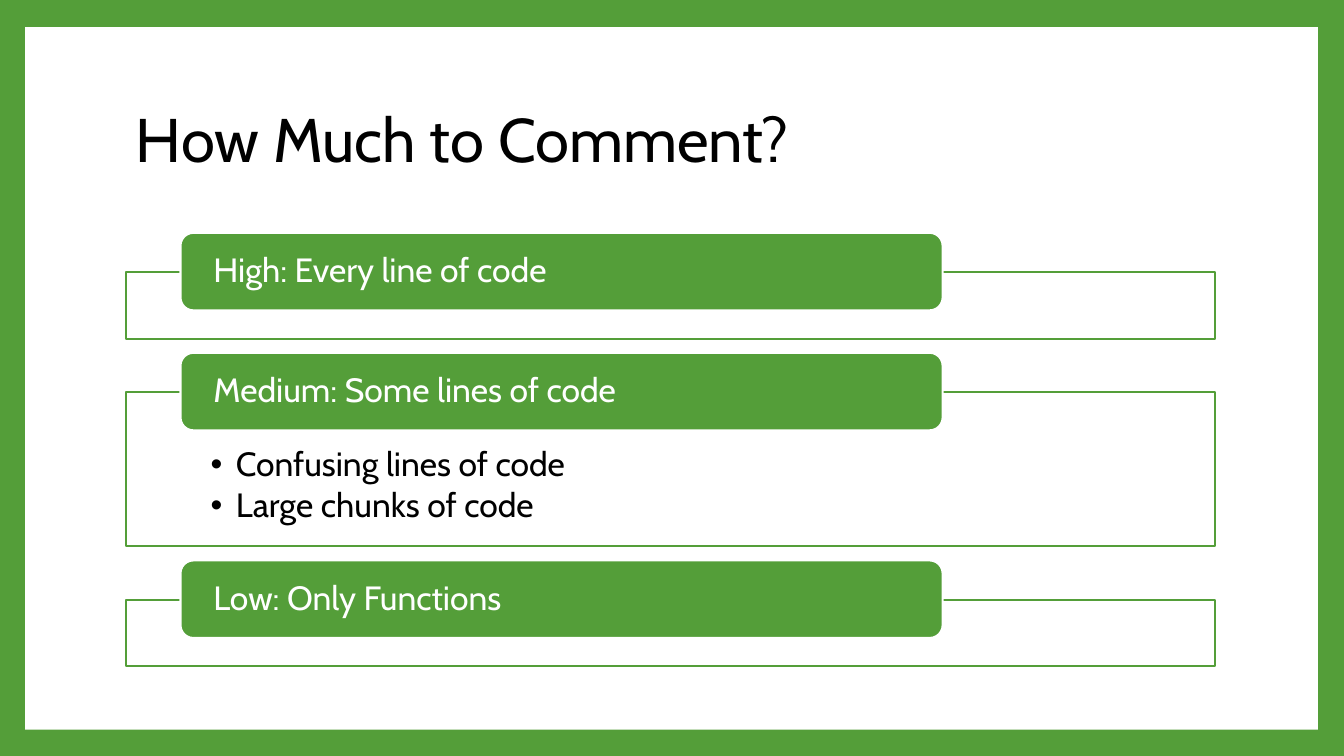
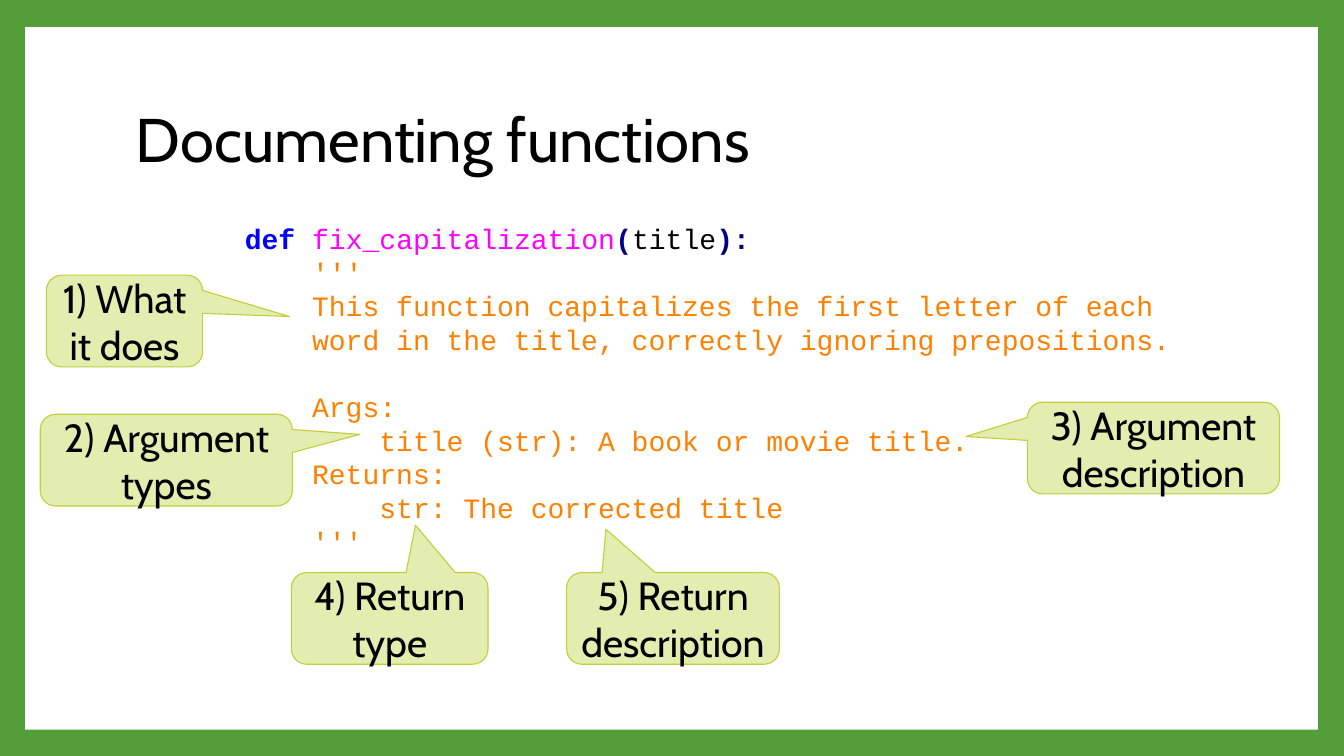
from dataclasses import dataclass

from lxml.etree import SubElement
from pptx import Presentation
from pptx.dml.color import RGBColor
from pptx.enum.shapes import MSO_SHAPE
from pptx.enum.text import MSO_ANCHOR, PP_ALIGN
from pptx.oxml.ns import qn
from pptx.util import Inches, Pt


@dataclass(frozen=True)
class Theme:
    green: str = "549E39"
    white: str = "FFFFFF"
    black: str = "000000"
    callout_fill: str = "E4EDB0"
    callout_line: str = "C0CF3A"
    keyword: str = "0000FF"
    function: str = "FF00FF"
    operator: str = "000080"
    docstring: str = "FF8000"
    body_font: str = "Cabin"
    code_font: str = "Courier New"
    title_size: int = 44
    callout_size: int = 28
    body_size: int = 24
    code_size: int = 20


THEME = Theme()


def add_bullet(paragraph, indent):
    properties = paragraph._p.get_or_add_pPr()
    properties.set("marL", str(indent))
    properties.set("indent", str(-indent))
    SubElement(properties, qn("a:buFont")).set("typeface", "Arial")
    SubElement(properties, qn("a:buChar")).set("char", "•")


def write_text(frame, paragraphs, *, size, color=THEME.black, font=THEME.body_font,
               align=PP_ALIGN.LEFT, anchor=MSO_ANCHOR.MIDDLE, line_spacing=1.0,
               space_after=0, bullet_indent=None, insets=(0.1, 0.05, 0.1, 0.05)):
    """Fill a frame; each paragraph is a string or a list of (text, color, bold) runs."""
    frame.word_wrap = True
    frame.vertical_anchor = anchor
    (frame.margin_left, frame.margin_top,
     frame.margin_right, frame.margin_bottom) = map(Inches, insets)
    for index, content in enumerate(paragraphs):
        paragraph = frame.add_paragraph() if index else frame.paragraphs[0]
        paragraph.alignment = align
        paragraph.line_spacing = line_spacing
        paragraph.space_after = Pt(space_after)
        if bullet_indent:
            add_bullet(paragraph, Inches(bullet_indent))
        runs = [(content, color, False)] if isinstance(content, str) else content
        for text, run_color, bold in runs:
            run = paragraph.add_run()
            run.text = text
            run.font.name = font
            run.font.size = Pt(size)
            run.font.bold = bold
            run.font.color.rgb = RGBColor.from_string(run_color)


class Deck:
    def __init__(self, theme):
        self.theme = theme
        self.presentation = Presentation()
        self.presentation.slide_width = Inches(13.33)
        self.presentation.slide_height = Inches(7.5)
        self.slide = None

    def add_slide(self, title):
        theme = self.theme
        self.slide = self.presentation.slides.add_slide(self.presentation.slide_layouts[6])
        background = self.slide.background.fill
        background.solid()
        background.fore_color.rgb = RGBColor.from_string(theme.green)
        self.add_shape(MSO_SHAPE.RECTANGLE, (0.25, 0.27, 12.82, 6.97), theme.white)
        self.add_text((1.25, 0.67, 10.8, 1.48), [title], size=theme.title_size,
                      line_spacing=0.9)

    def add_text(self, box, paragraphs, **text_format):
        textbox = self.slide.shapes.add_textbox(*map(Inches, box))
        write_text(textbox.text_frame, paragraphs, **text_format)

    def add_shape(self, preset, box, fill, line=None, line_width=1.5):
        shape = self.slide.shapes.add_shape(preset, *map(Inches, box))
        shape.shadow.inherit = False
        shape.fill.solid()
        shape.fill.fore_color.rgb = RGBColor.from_string(fill)
        if line:
            shape.line.color.rgb = RGBColor.from_string(line)
            shape.line.width = Pt(line_width)
        else:
            shape.line.fill.background()
        return shape

    def add_level(self, top, height, heading, details):
        """Add an outlined box with a heading tab across its top edge."""
        theme = self.theme
        outline = self.add_shape(MSO_SHAPE.RECTANGLE, (1.25, top, 10.8, height),
                                 theme.white, theme.green)
        if details:
            write_text(outline.text_frame, details, size=theme.body_size,
                       anchor=MSO_ANCHOR.TOP, line_spacing=0.9, space_after=3.6,
                       bullet_indent=0.25, insets=(0.84, 0.55, 0.84, 0.19))
        tab = self.add_shape(MSO_SHAPE.ROUNDED_RECTANGLE, (1.79, top - 0.39, 7.56, 0.77),
                             theme.green, theme.white)
        write_text(tab.text_frame, [heading], size=theme.body_size, color=theme.white,
                   line_spacing=0.9, insets=(0.29, 0, 0.29, 0))

    def add_callout(self, text, left, top, width, tip):
        """Add a callout whose pointer ends at tip, an (x, y) place on the slide."""
        theme = self.theme
        height = 0.91
        callout = self.add_shape(MSO_SHAPE.ROUNDED_RECTANGULAR_CALLOUT,
                                 (left, top, width, height), theme.callout_fill,
                                 theme.callout_line, line_width=0.79)
        callout.adjustments[0] = (tip[0] - left) / width - 0.5
        callout.adjustments[1] = (tip[1] - top) / height - 0.5
        write_text(callout.text_frame, [text], size=theme.callout_size,
                   align=PP_ALIGN.CENTER)

    def add_code(self, box, lines):
        self.add_text(box, lines, size=self.theme.code_size, color=self.theme.docstring,
                      font=self.theme.code_font, anchor=MSO_ANCHOR.TOP)


def build_comment_levels(deck):
    deck.add_slide("How Much to Comment?")
    levels = [
        ("High: Every line of code", 0.66, []),
        ("Medium: Some lines of code", 1.53,
         ["Confusing lines of code", "Large chunks of code"]),
        ("Low: Only Functions", 0.66, []),
    ]
    top, gap = 2.7, 0.53
    for heading, height, details in levels:
        deck.add_level(top, height, heading, details)
        top += height + gap


def build_documenting_functions(deck):
    theme = deck.theme
    deck.add_slide("Documenting functions")
    signature = [
        ("def ", theme.keyword, True),
        ("fix_capitalization", theme.function, False),
        ("(", theme.operator, True),
        ("title", theme.black, False),
        ("):", theme.operator, True),
    ]
    deck.add_code((2.33, 2.15, 10.8, 3.47), [
        signature,
        "    '''",
        "    This function capitalizes the first letter of each",
        "    word in the title, correctly ignoring prepositions.",
        "    ",
        "    Args:",
        "        title (str): A book or movie title.",
        "    Returns:",
        "        str: The corrected title",
        "    '''",
    ])
    callouts = [
        ("1) What it does", 0.46, 2.73, 1.55, (2.87, 3.14)),
        ("2) Argument types", 0.4, 4.11, 2.5, (3.57, 4.31)),
        ("3) Argument description", 10.19, 3.99, 2.5, (9.58, 4.33)),
        ("4) Return type", 2.89, 5.68, 1.95, (4.12, 5.21)),
        ("5) Return description", 5.62, 5.68, 2.11, (6.01, 5.25)),
    ]
    for callout in callouts:
        deck.add_callout(*callout)


def main():
    deck = Deck(THEME)
    build_comment_levels(deck)
    build_documenting_functions(deck)
    deck.presentation.save("out.pptx")


if __name__ == "__main__":
    main()
